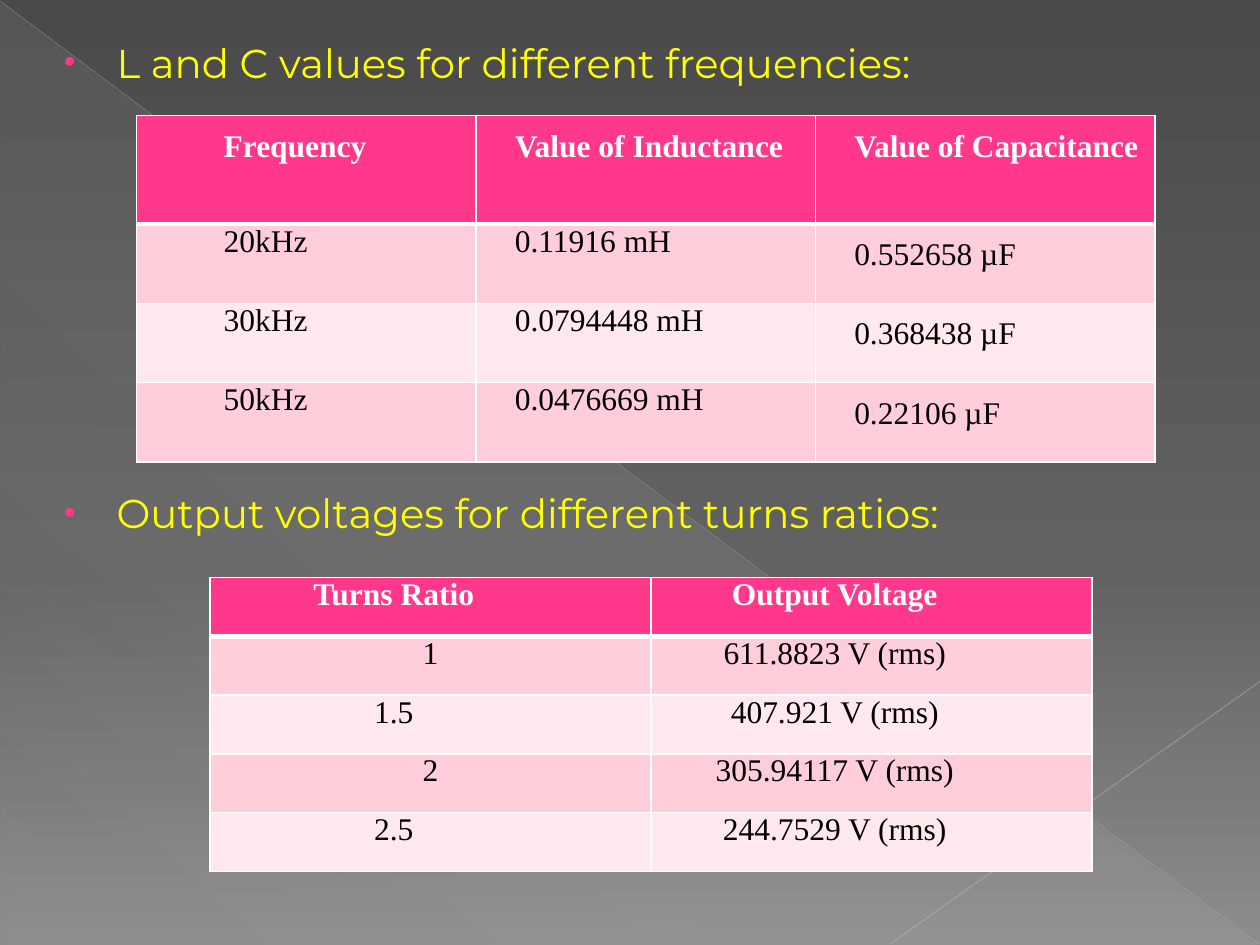
from dataclasses import dataclass

import lxml.etree
import pptx
import pptx.dml.color
import pptx.enum.shapes
import pptx.enum.text
import pptx.oxml.ns
import pptx.util

qn = pptx.oxml.ns.qn
UNIT = pptx.util.Inches(1) / 12  # grid of 120 columns by 90 rows
COLUMNS, ROWS = 120, 90
PINK, WHITE, BLACK, YELLOW = "FF388C", "FFFFFF", "000000", "FFFF00"
BANDS = ("FFCEDA", "FFE8EE")


@dataclass
class Line:
    start: tuple[float, float]
    end: tuple[float, float]
    color: str
    width: float
    opacity: int


@dataclass
class CellStyle:
    left: float = 0
    right: float = 0
    top: float = 0
    line_points: float | None = None
    centered: bool = False


@dataclass
class Table:
    box: tuple[float, float, float, float]
    row_heights: list[float]
    rows: list[list[str]]
    styles: list[list[CellStyle]]


def grid(value: float) -> pptx.util.Emu:
    return pptx.util.Emu(round(value * UNIT))


def rgb(color: str) -> pptx.dml.color.RGBColor:
    return pptx.dml.color.RGBColor.from_string(color)


def add_color(parent, color: str, opacity: int = 100) -> None:
    node = lxml.etree.SubElement(parent, qn("a:srgbClr"), val=color)
    if opacity < 100:
        lxml.etree.SubElement(node, qn("a:alpha"), val=str(opacity * 1000))


def set_gradient(fill, owner, angle: float, stops: list[tuple[int, str, int]]) -> None:
    fill.gradient()
    fill.gradient_angle = 360 - angle
    stop_list = owner.find(".//" + qn("a:gsLst"))
    for old_stop in list(stop_list):
        stop_list.remove(old_stop)
    for position, color, opacity in stops:
        stop = lxml.etree.SubElement(stop_list, qn("a:gs"), pos=str(position * 1000))
        add_color(stop, color, opacity)


def draw_line(slide, line: Line) -> None:
    connector = slide.shapes.add_connector(
        pptx.enum.shapes.MSO_CONNECTOR.STRAIGHT, *map(grid, line.start + line.end))
    connector.line.width = pptx.util.Pt(line.width)
    connector.line.color.rgb = rgb(line.color)
    color_node = connector._element.find(".//" + qn("a:srgbClr"))
    lxml.etree.SubElement(color_node, qn("a:alpha"), val=str(line.opacity * 1000))
    lxml.etree.SubElement(connector._element.spPr, qn("a:effectLst"))


def draw_backdrop(slide) -> None:
    set_gradient(slide.background.fill, slide._element, 90,
                 [(0, "4A4A4A", 100), (60, "626262", 100), (100, "8C8C8C", 100)])
    triangle = slide.shapes.add_shape(
        pptx.enum.shapes.MSO_SHAPE.RIGHT_TRIANGLE,
        *map(grid, (0.1, 0.2, COLUMNS - 0.2, ROWS - 0.2)))
    triangle.shadow.inherit = False
    triangle.line.fill.background()
    set_gradient(triangle.fill, triangle._element, 133,
                 [(0, "D2D2D2", 10), (70, "D2D2D2", 8), (100, "D2D2D2", 1)])
    draw_line(slide, Line((0, 0.1), (119.9, 89.9), "BFBFBF", 0.39, 35))
    draw_line(slide, Line((COLUMNS, 64.9), (84.8, 89.9), "C6C6C6", 0.47, 45))


def write_headings(slide, headings: list[tuple[str, float]]) -> None:
    body = slide.placeholders[1]
    slide.shapes._spTree.append(body._element)  # in front of the backdrop
    body.left, body.top, body.width, body.height = map(grid, (4, 3, 116, 87))
    frame = body.text_frame
    frame.auto_size = pptx.enum.text.MSO_AUTO_SIZE.NONE
    frame.text = "\n".join(text for text, _ in headings)
    for paragraph, (_, space) in zip(frame.paragraphs, headings):
        paragraph.space_before = pptx.util.Pt(space)
        paragraph.font.name = "Montserrat"
        paragraph.font.size = pptx.util.Pt(23)
        paragraph.font.color.rgb = rgb(YELLOW)
        properties = paragraph._p.get_or_add_pPr()
        properties.set("marL", str(grid(5.9)))
        properties.set("indent", str(grid(-5)))
        bullet_color = lxml.etree.Element(qn("a:buClr"))
        add_color(bullet_color, PINK)
        bullet_size = lxml.etree.Element(qn("a:buSzPct"), val="80000")
        bullet = lxml.etree.Element(qn("a:buChar"), char="•")
        place = properties.index(properties.find(qn("a:spcBef"))) + 1
        properties[place:place] = [bullet_color, bullet_size, bullet]


def set_borders(cell, top: float, bottom: float) -> None:
    properties = cell._tc.get_or_add_tcPr()
    for side, width in (("L", 1), ("R", 1), ("T", top), ("B", bottom)):
        border = lxml.etree.SubElement(
            properties, qn("a:ln" + side), w=str(pptx.util.Pt(width)))
        add_color(lxml.etree.SubElement(border, qn("a:solidFill")), WHITE)


def format_cell(cell, text: str, style: CellStyle, row: int) -> None:
    is_header = row == 0
    set_borders(cell, top=3 if row == 1 else 1, bottom=3 if is_header else 1)
    cell.fill.solid()
    cell.fill.fore_color.rgb = rgb(PINK if is_header else BANDS[(row - 1) % 2])
    cell.margin_left, cell.margin_right = grid(style.left), grid(style.right)
    cell.margin_top, cell.margin_bottom = grid(style.top), 0
    cell.text = text
    paragraph = cell.text_frame.paragraphs[0]
    if style.centered:
        paragraph.alignment = pptx.enum.text.PP_ALIGN.CENTER
    if style.line_points:
        paragraph.line_spacing = pptx.util.Pt(style.line_points)
    paragraph.font.name = "Times New Roman"
    paragraph.font.size = pptx.util.Pt(18)
    paragraph.font.bold = is_header
    paragraph.font.color.rgb = rgb(WHITE if is_header else BLACK)


def draw_table(slide, data: Table) -> None:
    column_count = len(data.rows[0])
    table = slide.shapes.add_table(
        len(data.rows), column_count, *map(grid, data.box)).table
    for column in table.columns:
        column.width = grid(data.box[2] / column_count)
    for row, height in enumerate(data.row_heights):
        table.rows[row].height = grid(height)
        for column, text in enumerate(data.rows[row]):
            format_cell(table.cell(row, column), text, data.styles[row][column], row)


def main() -> None:
    presentation = pptx.Presentation()
    presentation.slide_width = grid(COLUMNS)
    presentation.slide_height = grid(ROWS)
    slide = presentation.slides.add_slide(presentation.slide_layouts[1])
    title = slide.shapes.title._element
    title.getparent().remove(title)

    draw_backdrop(slide)
    write_headings(slide, [("L and C values for different frequencies:", 0),
                           ("Output voltages for different turns ratios:", 229.7)])

    # Component values: lowered cells have tight, fixed line spacing
    lowered = [CellStyle(left, top=2.3, line_points=13.8) for left in (8.3, 3.7, 3.7)]
    values = [CellStyle(8.3), CellStyle(3.7), lowered[2]]
    draw_table(slide, Table(
        (13, 11, 97, 33), [10.35] + [7.55] * 3,
        [["Frequency", "Value of Inductance", "Value of Capacitance"],
         ["20kHz", "0.11916 mH", "0.552658 µF"],
         ["30kHz", "0.0794448 mH", "0.368438 µF"],
         ["50kHz", "0.0476669 mH", "0.22106 µF"]],
        [lowered] + [values] * 3))

    # Output voltages: whole ratios are centred, other cells sit left of centre
    middle = CellStyle(centered=True)
    shifted = CellStyle(right=7, centered=True)
    whole, other = [middle, shifted], [shifted, shifted]
    draw_table(slide, Table(
        (20, 55, 84, 28), [28 / 5] * 5,
        [["Turns Ratio", "Output Voltage"],
         ["1", "611.8823 V (rms)"],
         ["1.5", "407.921 V (rms)"],
         ["2", "305.94117 V (rms)"],
         ["2.5", "244.7529 V (rms)"]],
        [other, whole, other, whole, other]))

    presentation.save("out.pptx")


if __name__ == "__main__":
    main()
